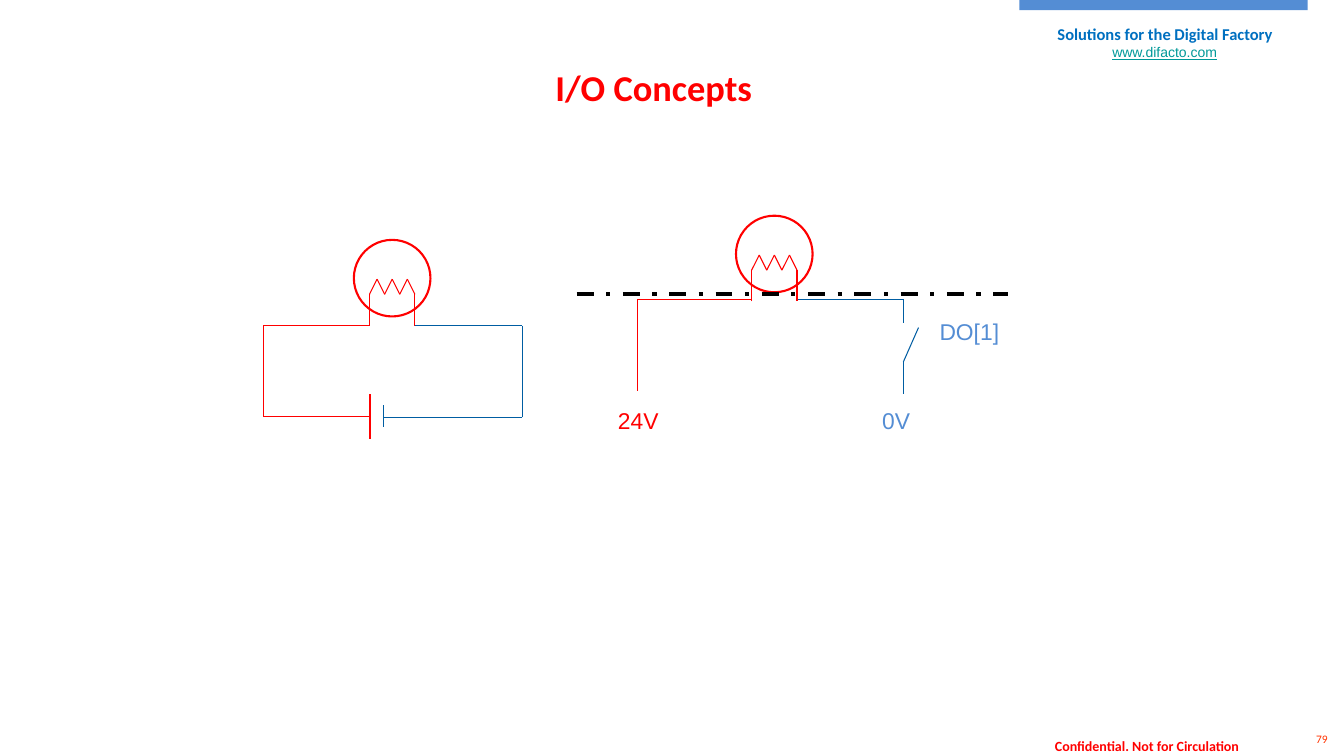
from itertools import pairwise

from lxml import etree
from pptx import Presentation, util as u
from pptx.dml.color import RGBColor
from pptx.enum import dml, shapes, text
from pptx.oxml.ns import qn

COLORS = {
    "red": "FF0000", "wire": "005DA2", "steel": "548DD4", "brand": "0070C0",
    "link": "009999", "number": "FF3300", "black": "000000",
}
MIDDLE, TOP = text.MSO_ANCHOR.MIDDLE, text.MSO_ANCHOR.TOP
CENTER, LEFT = text.PP_ALIGN.CENTER, text.PP_ALIGN.LEFT

# wording, box (left, top, width, height), size, font, color, bold, underline, anchor
TITLE = ("I/O Concepts", (5.4, 0.59, 2.17, 0.54), 26, "Calibri", "red", True, False, MIDDLE)
FRAME_TEXTS = [
    ("www.difacto.com", (10.44, 0.29, 2.22, 0.46), 10, "Arial", "link", False, True, MIDDLE),
    ("Solutions for the Digital Factory", (9.89, 0.19, 3.33, 0.48), 11.8, "Calibri", "brand", True, False, TOP),
    ("79", (12.89, 7.17, 0.44, 0.33), 8.2, "Calibri", "number", False, False, MIDDLE),
    ("Confidential. Not for Circulation", (9.9, 7.27, 2.95, 0.27), 10, "Calibri", "red", True, False, TOP),
]
HEADER_BAR = (10.11, 0, 2.86, 0.1)
CIRCUIT_LABELS = [
    ("24V", (6.03, 3.99, 0.61, 0.38), "red"),
    ("0V", (8.65, 3.99, 0.48, 0.38), "steel"),
    ("DO[1]", (9.22, 3.1, 0.8, 0.38), "steel"),
]

# Lamps: centre x and top of the bulb; the filament hangs below that top
LAMPS = [(3.89, 2.38), (7.68, 2.14)]
BULB = 0.76
TOOTH = 0.075
PEAK, BASE, LEAD_END = 0.39, 0.54, 0.85

# Wires: color and the points they pass through
BATTERY_CIRCUIT = [
    ("red", [(3.67, 3.23), (2.61, 3.23), (2.61, 4.13), (3.67, 4.13)]),
    ("red", [(3.67, 3.91), (3.67, 4.36)]),
    ("wire", [(4.12, 3.23), (5.18, 3.23), (5.18, 4.14), (3.8, 4.14)]),
    ("wire", [(3.8, 4.02), (3.8, 4.24)]),
]
OUTPUT_CIRCUIT = [
    ("red", [(7.45, 2.97), (6.32, 2.97), (6.32, 3.88)]),
    ("wire", [(7.91, 2.97), (8.96, 2.97), (8.96, 3.2)]),
    ("wire", [(9.11, 3.25), (8.96, 3.59), (8.96, 3.91)]),
]
BOUNDARY = [(5.72, 2.92), (10, 2.92)]


def rgb(name):
    return RGBColor.from_string(COLORS[name])


def inches(values):
    return [u.Inches(value) for value in values]


def write(shape, wording, size, font, color, bold=False, underline=False,
          anchor=TOP, align=CENTER, wrap=True):
    frame = shape.text_frame
    frame.word_wrap = wrap
    frame.auto_size = text.MSO_AUTO_SIZE.NONE
    frame.vertical_anchor = anchor
    paragraph = frame.paragraphs[0]
    paragraph.alignment = align
    run = paragraph.add_run()
    run.text = wording
    run.font.size, run.font.name = u.Pt(size), font
    run.font.bold, run.font.underline = bold, underline
    run.font.color.rgb = rgb(color)


def add_wire(slide, points, color, width=0.75, dash=None):
    """Join consecutive points with straight connectors."""
    for start, end in pairwise(points):
        line = slide.shapes.add_connector(
            shapes.MSO_CONNECTOR.STRAIGHT, *inches(start + end))
        line.line.color.rgb = rgb(color)
        line.line.width = u.Pt(width)
        if dash:
            line.line.dash_style = dash
        etree.SubElement(line._element.spPr, qn("a:effectLst"))


def add_lamp(slide, center, top):
    left = center - 3 * TOOTH
    filament = [(left + step * TOOTH, top + (PEAK if step % 2 else BASE))
                for step in range(7)]
    right = center + 3 * TOOTH
    add_wire(slide, [(left, top + LEAD_END), *filament, (right, top + LEAD_END)], "red")
    bulb = slide.shapes.add_shape(
        shapes.MSO_SHAPE.OVAL, *inches((center - BULB / 2, top, BULB, BULB)))
    bulb.shadow.inherit = False
    bulb.fill.background()
    bulb.line.color.rgb = rgb("red")
    bulb.line.width = u.Pt(1.5)


def main():
    presentation = Presentation()
    presentation.slide_width, presentation.slide_height = inches((13.33, 7.5))
    slide = presentation.slides.add_slide(presentation.slide_layouts[5])

    wording, box, *style = TITLE
    title = slide.shapes.title
    title.left, title.top, title.width, title.height = inches(box)
    write(title, wording, *style, wrap=False)

    for wording, box, *style in FRAME_TEXTS:
        write(slide.shapes.add_textbox(*inches(box)), wording, *style)
    bar = slide.shapes.add_shape(shapes.MSO_SHAPE.RECTANGLE, *inches(HEADER_BAR))
    bar.shadow.inherit = False
    bar.fill.solid()
    bar.fill.fore_color.rgb = rgb("steel")
    bar.line.fill.background()

    for center, top in LAMPS:
        add_lamp(slide, center, top)
    for color, points in BATTERY_CIRCUIT + OUTPUT_CIRCUIT:
        add_wire(slide, points, color)
    for wording, box, color in CIRCUIT_LABELS:
        write(slide.shapes.add_textbox(*inches(box)), wording, 16.3, "Arial", color,
              align=LEFT, wrap=False)
    add_wire(slide, BOUNDARY, "black", 3, dml.MSO_LINE.DASH_DOT)

    presentation.save("out.pptx")


if __name__ == "__main__":
    main()
